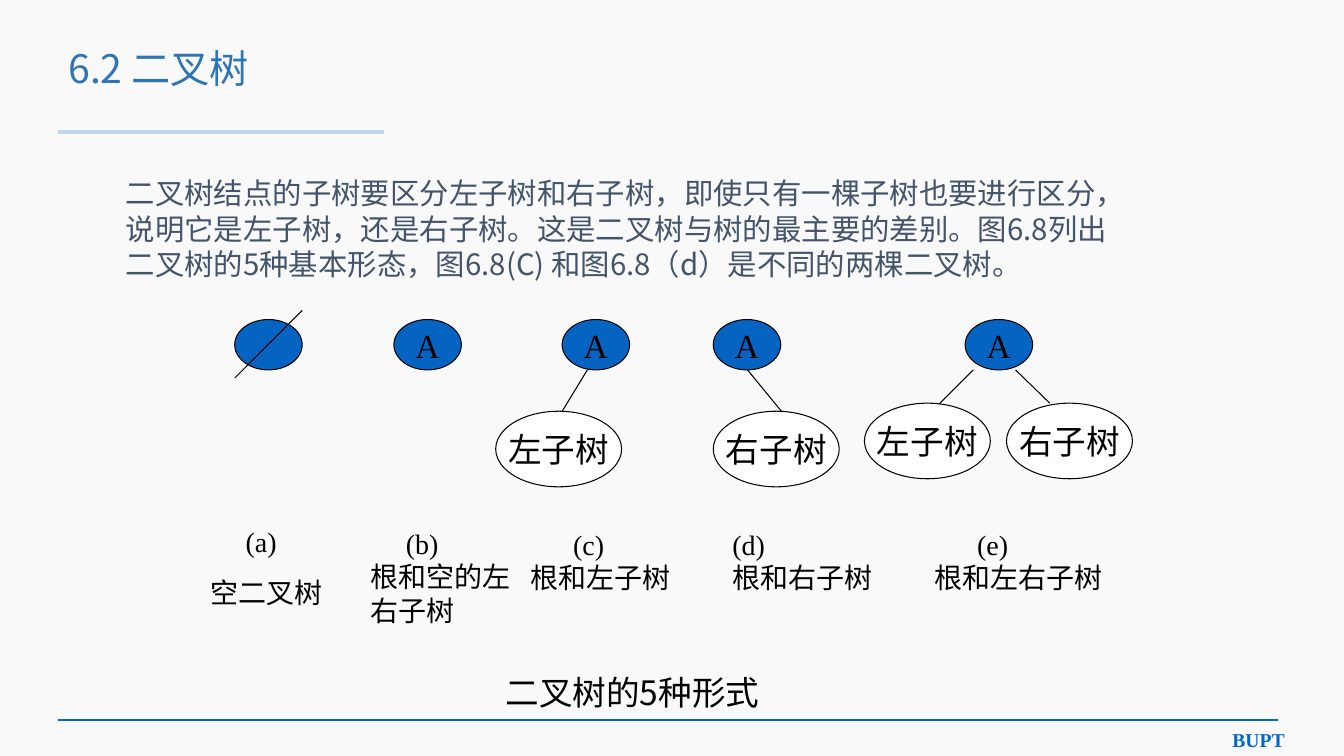
import pptx
import pptx.dml.color
import pptx.enum.shapes
import pptx.enum.text
import pptx.oxml.ns
import pptx.util
from lxml import etree

Inches = pptx.util.Inches
Pt = pptx.util.Pt
Align = pptx.enum.text.PP_ALIGN
Anchor = pptx.enum.text.MSO_ANCHOR

THEME = {
    "background": "F9F9F9", "title": "2E75B6", "title_rule": "BDD7EE",
    "footer": "0066CC", "body": "44546A", "ink": "000000",
    "root": "0563C1", "subtree": "FFFFFF",
    "sans": "Noto Sans CJK SC", "serif": "Times New Roman",
    "title_size": 28, "body_size": 21, "node_size": 24,
    "label_size": 20, "caption_size": 24, "footer_size": 14,
}

TITLE = "6.2 二叉树"
EXPLANATION = (
    "二叉树结点的子树要区分左子树和右子树，即使只有一棵子树也要进行区分，"
    "说明它是左子树，还是右子树。这是二叉树与树的最主要的差别。"
    "图6.8列出二叉树的5种基本形态，图6.8(C) 和图6.8（d）是不同的两棵二叉树。"
)
CAPTION = "二叉树的5种形式"
FOOTER = "BUPT"

ROOT_TOP, ROOT_SIZE = 3.17, (0.67, 0.5)
SUBTREE_SIZE = (1.25, 0.75)

ROOTS = [(2.33, ""), (3.91, "A"), (5.58, "A"), (7.08, "A"), (9.58, "A")]
SUBTREES = [
    (4.92, 4.08, "左子树"),
    (7.08, 4.08, "右子树"),
    (8.58, 4, "左子树"),
    (9.99, 4, "右子树"),
]
EMPTY_SLASH = (3, 3.08, 2.33, 3.75)
BRANCHES = [
    (5.83, 3.67, 5.58, 4.08),
    (7.42, 3.67, 7.83, 4.17),
    (9.66, 3.67, 9.25, 4.08),
    (10.08, 3.67, 10.42, 4),
]
LABELS = [
    ("(a)", "空二叉树", (1.99, 5.15, 1.67, 0.94), 0.35, 12.5),
    ("(b)", "根和空的左右子树", (3.58, 5.17, 1.83, 1.1), 0.35, 0),
    ("(c)", "根和左子树", (5.17, 5.18, 1.83, 0.77), 0.42, 0),
    ("(d)", "根和右子树", (7.17, 5.18, 1.83, 0.77), 0, 0),
    ("(e)", "根和左右子树", (9.18, 5.18, 2.1, 0.77), 0.42, 0),
]


def rgb(name):
    return pptx.dml.color.RGBColor.from_string(THEME[name])


def style(paragraph, size, color, face="sans", bold=False):
    font = paragraph.font
    font.size, font.bold = Pt(THEME[size]), bold
    font.color.rgb = rgb(color)
    font.name = THEME[face]
    east_asian = etree.SubElement(font._rPr, pptx.oxml.ns.qn("a:ea"))
    east_asian.set("typeface", THEME["sans"])


def add_text(box, words, size, color, face="sans", spacing=None,
             align=Align.LEFT, anchor=Anchor.TOP, bold=False):
    frame = slide.shapes.add_textbox(*map(Inches, box)).text_frame
    frame.word_wrap = True
    frame.vertical_anchor = anchor
    for index, line in enumerate(words):
        paragraph = frame.paragraphs[0] if index == 0 else frame.add_paragraph()
        paragraph.text = line
        paragraph.alignment = align
        if spacing:
            paragraph.line_spacing = spacing
        style(paragraph, size, color, face, bold)
    return frame


def add_line(ends, color="ink", width=0.75):
    line = slide.shapes.add_connector(
        pptx.enum.shapes.MSO_CONNECTOR.STRAIGHT, *map(Inches, ends))
    line.line.color.rgb = rgb(color)
    line.line.width = Pt(width)
    etree.SubElement(line._element.spPr, pptx.oxml.ns.qn("a:effectLst"))


def add_node(left, top, size, fill, name):
    node = slide.shapes.add_shape(
        pptx.enum.shapes.MSO_SHAPE.OVAL, *map(Inches, (left, top, *size)))
    node.shadow.inherit = False
    node.fill.solid()
    node.fill.fore_color.rgb = rgb(fill)
    node.line.color.rgb = rgb("ink")
    node.line.width = Pt(0.75)
    if name:
        frame = node.text_frame
        frame.word_wrap = False
        frame.vertical_anchor = Anchor.MIDDLE
        paragraph = frame.paragraphs[0]
        paragraph.text = name
        paragraph.alignment = Align.CENTER
        style(paragraph, "node_size", "ink", "serif")


deck = pptx.Presentation()
deck.slide_width, deck.slide_height = Inches(13.34), Inches(7.5)
slide = deck.slides.add_slide(deck.slide_layouts[6])
slide.background.fill.solid()
slide.background.fill.fore_color.rgb = rgb("background")

add_line((0.58, 7.14, 12.69, 7.14), "footer", 1.5)
add_text((11.5, 7.17, 1.35, 0.34), [FOOTER], "footer_size", "footer", "serif",
         align=Align.RIGHT, bold=True)
add_text((0.58, 0.28, 11.5, 0.85), [TITLE], "title_size", "title",
         spacing=0.9, anchor=Anchor.MIDDLE)
add_line((0.58, 1.31, 3.81, 1.31), "title_rule", 3.5)
add_text((1.15, 1.56, 10.18, 1.28), [EXPLANATION], "body_size", "body",
         spacing=Pt(25.2), anchor=Anchor.BOTTOM)

for left, name in ROOTS:
    add_node(left, ROOT_TOP, ROOT_SIZE, "root", name)
for ends in [EMPTY_SLASH, *BRANCHES]:
    add_line(ends)
for left, top, name in SUBTREES:
    add_node(left, top, SUBTREE_SIZE, "subtree", name)

for letter, meaning, box, indent, gap in LABELS:
    frame = add_text(box, [letter, meaning], "label_size", "ink", "serif",
                     spacing=Pt(24))
    letter_line, meaning_line = frame.paragraphs
    letter_line._p.get_or_add_pPr().set("marL", str(Inches(indent)))
    meaning_line.space_before = Pt(gap)

add_text((4.92, 6.62, 2.92, 0.5), [CAPTION], "caption_size", "ink",
         spacing=Pt(28.8))

deck.save("out.pptx")
